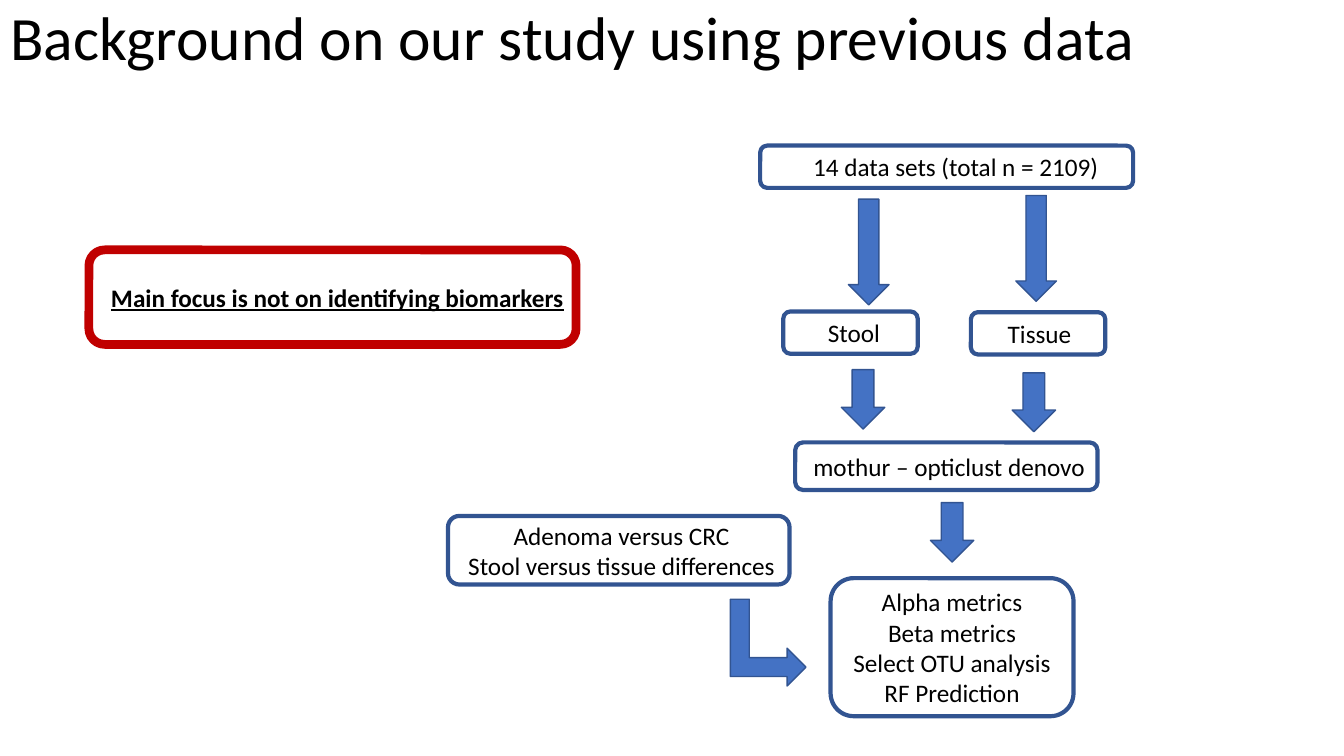
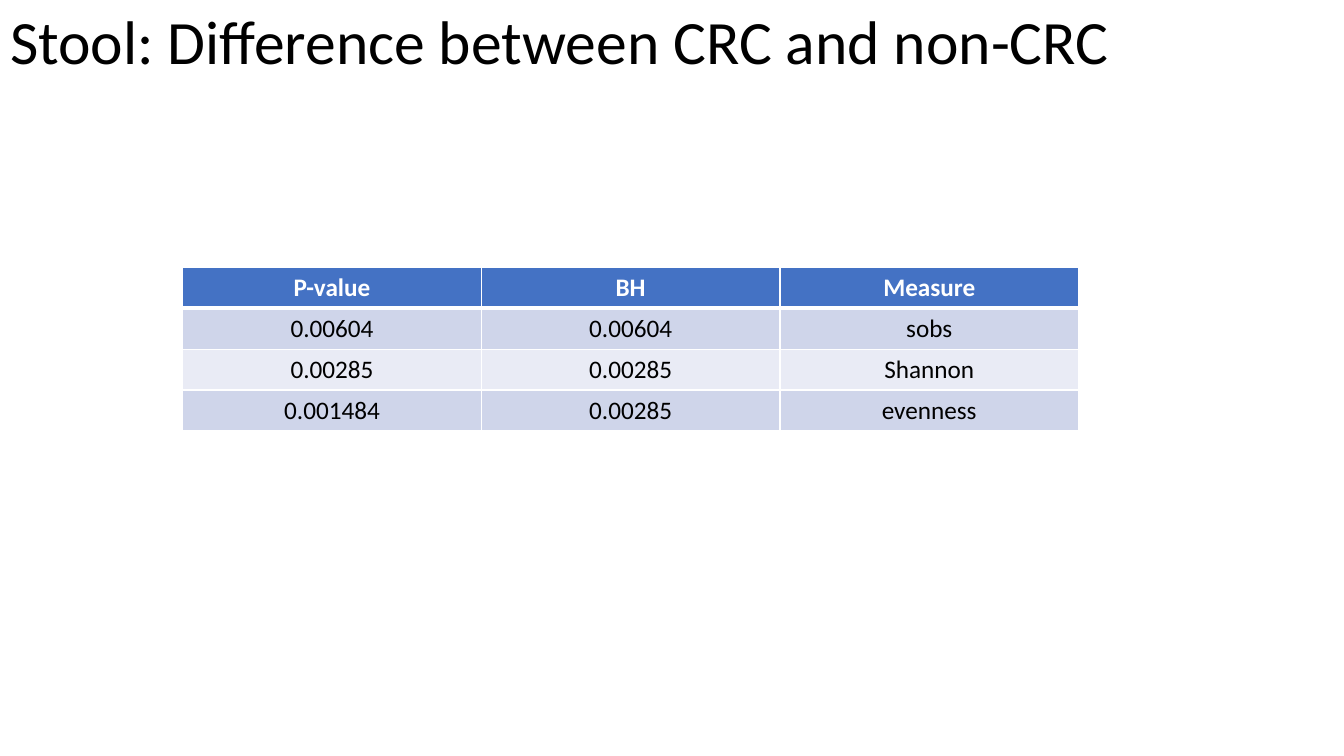
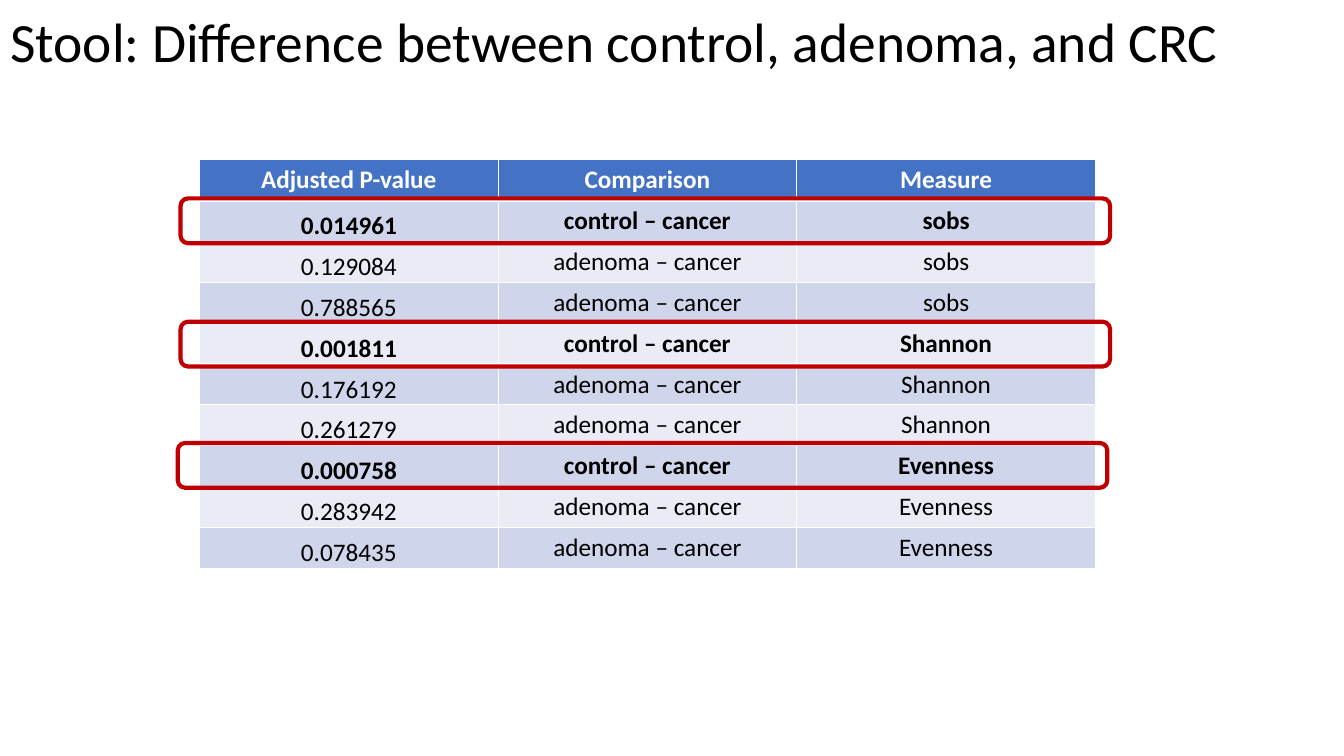
from pptx import Presentation
from pptx.dml.color import RGBColor
from pptx.enum.shapes import MSO_SHAPE
from pptx.enum.text import MSO_ANCHOR, PP_ALIGN
from pptx.oxml.ns import qn
from pptx.util import Pt
from lxml import etree

ROUND, DOWN, BENT = MSO_SHAPE.ROUNDED_RECTANGLE, MSO_SHAPE.DOWN_ARROW, MSO_SHAPE.BENT_UP_ARROW
MIDDLE, BOTTOM = MSO_ANCHOR.MIDDLE, MSO_ANCHOR.BOTTOM
LEFT, CENTER = PP_ALIGN.LEFT, PP_ALIGN.CENTER
HUES = {"ink": "000000", "paper": "FFFFFF", "blue": "4472C4", "edge": "325491",
        "red": "C00000", "odd": "CFD5EA", "even": "E9EBF5"}
BODY = {"name": "Calibri", "size": Pt(18), "bold": False}
STRONG = {**BODY, "bold": True}
ROW, COL = 29.2, 213.33

SETS = [(223, 0, 266.4, 30.2, 13, ["14 data sets (total n = 2109)"]),
        (239.5, 118.5, 96, 30.2, 5, ["Stool"]),
        (373.5, 119, 96, 30.2, 2, ["Tissue"]),
        (248, 212, 216, 34, 4, ["mothur – opticlust denovo"]),
        (0, 264.5, 244, 49, 4, ["Adenoma versus CRC", "Stool versus tissue differences"]),
        (273.3, 309, 173.5, 98.6, 0,
         ["Alpha metrics", "Beta metrics", "Select OTU analysis", "RF Prediction"])]
ARROWS = [(DOWN, 286, 38.2, 29, 75.6, 0), (DOWN, 405.6, 35.6, 29, 75.6, 0),
          (DOWN, 281, 160, 31, 42.5, 0), (DOWN, 403, 162.4, 31, 42, 0),
          (DOWN, 344.6, 255, 31, 42.5, 0), (BENT, 197.7, 328, 62, 54, 90)]

BASIC = [["P-value", "BH", "Measure"],
         ["0.00604", "0.00604", "sobs"],
         ["0.00285", "0.00285", "Shannon"],
         ["0.001484", "0.00285", "evenness"]]
PAIRS = ["control – cancer", "adenoma – cancer", "adenoma – cancer"]
TESTS = {"sobs": ["0.014961", "0.129084", "0.788565"],
         "Shannon": ["0.001811", "0.176192", "0.261279"],
         "Evenness": ["0.000758", "0.283942", "0.078435"]}
FULL = [["Adjusted P-value", "Comparison", "Measure"]] + [
    [value, pair, name] for name, values in TESTS.items() for value, pair in zip(values, PAIRS)]
MARKS = {1: (-13.5, -1.5), 4: (-13.5, -1), 7: (-15.5, -2)}


def tint(name):
    """Return the named colour."""
    return RGBColor.from_string(HUES[name])


def dress(item, values):
    """Set each format value on the item."""
    for key, value in values.items():
        setattr(item, key, value)


def write(frame, lines, style, hue="ink", align=CENTER):
    """Fill a text frame with one paragraph per line."""
    frame.text = "\n".join(lines)
    for para in frame.paragraphs:
        para.alignment = align
        dress(para.font, style)
        para.font.color.rgb = tint(hue)


def place(slide, kind, box, edge, width, fill=None):
    """Add one outlined shape at a box in points."""
    shape = slide.shapes.add_shape(kind, *map(Pt, box))
    shape.shadow.inherit = False
    if fill:
        shape.fill.solid()
        shape.fill.fore_color.rgb = tint(fill)
    else:
        shape.fill.background()
    shape.line.color.rgb = tint(edge)
    shape.line.width = Pt(width)
    return shape


def panel(slide, box, lines, shift=0, edge="edge", width=3, style=BODY):
    """Add a rounded panel whose text starts after a left shift."""
    frame = place(slide, ROUND, box, edge, width).text_frame
    dress(frame, {"word_wrap": True, "vertical_anchor": MIDDLE, "margin_left": Pt(shift),
                  "margin_right": 0, "margin_top": 0, "margin_bottom": 0})
    write(frame, lines, style)


def page(deck, text, height=64, size=44):
    """Add a slide with its title across the top."""
    slide = deck.slides.add_slide(deck.slide_layouts[5])
    title = slide.shapes.title
    dress(title, {"left": 0, "top": 0, "width": deck.slide_width, "height": Pt(height)})
    dress(title.text_frame, {"word_wrap": True, "vertical_anchor": MIDDLE})
    write(title.text_frame, [text], {**BODY, "size": Pt(size)}, align=LEFT)
    title.text_frame.paragraphs[0].line_spacing = 0.9
    return slide


def flow(slide, left, top):
    """Draw the study flow from its top left corner."""
    for x, y, wide, high, shift, lines in SETS:
        panel(slide, (left + x, top + y, wide, high), lines, shift)
    for kind, x, y, wide, high, turn in ARROWS:
        arrow = place(slide, kind, (left + x, top + y, wide, high), "edge", 1, "blue")
        arrow.rotation = turn


def rule(cell, row):
    """Draw white cell borders, thicker under the header."""
    props = cell._tc.get_or_add_tcPr()
    for side in "LRTB":
        thick = (row, side) in [(0, "B"), (1, "T")]
        line = etree.SubElement(props, qn("a:ln" + side), w=str(Pt(3 if thick else 1)))
        fill = etree.SubElement(line, qn("a:solidFill"))
        etree.SubElement(fill, qn("a:srgbClr"), val=HUES["paper"])


def grid(slide, left, top, rows, marks=(), low=False):
    """Draw a banded table, with bold marked rows and a low first column."""
    count = len(rows[0])
    box = (left, top, COL * count, ROW * len(rows))
    table = slide.shapes.add_table(len(rows), count, *map(Pt, box)).table
    for r, texts in enumerate(rows):
        table.rows[r].height = Pt(ROW)
        fill = "blue" if r == 0 else "odd" if r % 2 else "even"
        style = STRONG if r == 0 or r in marks else BODY
        for c, text in enumerate(texts):
            cell = table.cell(r, c)
            rule(cell, r)
            cell.fill.solid()
            cell.fill.fore_color.rgb = tint(fill)
            write(cell.text_frame, [text], style, "ink" if r else "paper")
            if low and r and c == 0:
                dress(cell, {"vertical_anchor": BOTTOM, "margin_left": Pt(0.75),
                             "margin_right": Pt(0.75), "margin_top": Pt(0.75),
                             "margin_bottom": 0})


def rings(slide, left, top, marks):
    """Outline the marked rows of a table."""
    for row, (x, y) in marks.items():
        place(slide, ROUND, (left + x, top + ROW * row + y, 664, 32), "red", 3)


def main():
    """Build and save the deck."""
    deck = Presentation()
    dress(deck, {"slide_width": Pt(960), "slide_height": Pt(540)})

    slide = page(deck, "Background on our study using previous data", 58)
    flow(slide, 320, 104)
    panel(slide, (63.5, 178.5, 348, 67.5), ["Main focus is not on identifying biomarkers"],
          7, "red", 6.25, {**STRONG, "underline": True})

    slide = page(deck, "Stool: Difference between CRC and non-CRC")
    grid(slide, 130.5, 191, BASIC)

    slide = page(deck, "Stool: Difference between control, adenoma, and CRC", size=39.6)
    grid(slide, 142.5, 114, FULL, MARKS, True)
    rings(slide, 142.5, 114, MARKS)

    deck.save("out.pptx")


if __name__ == "__main__":
    main()
